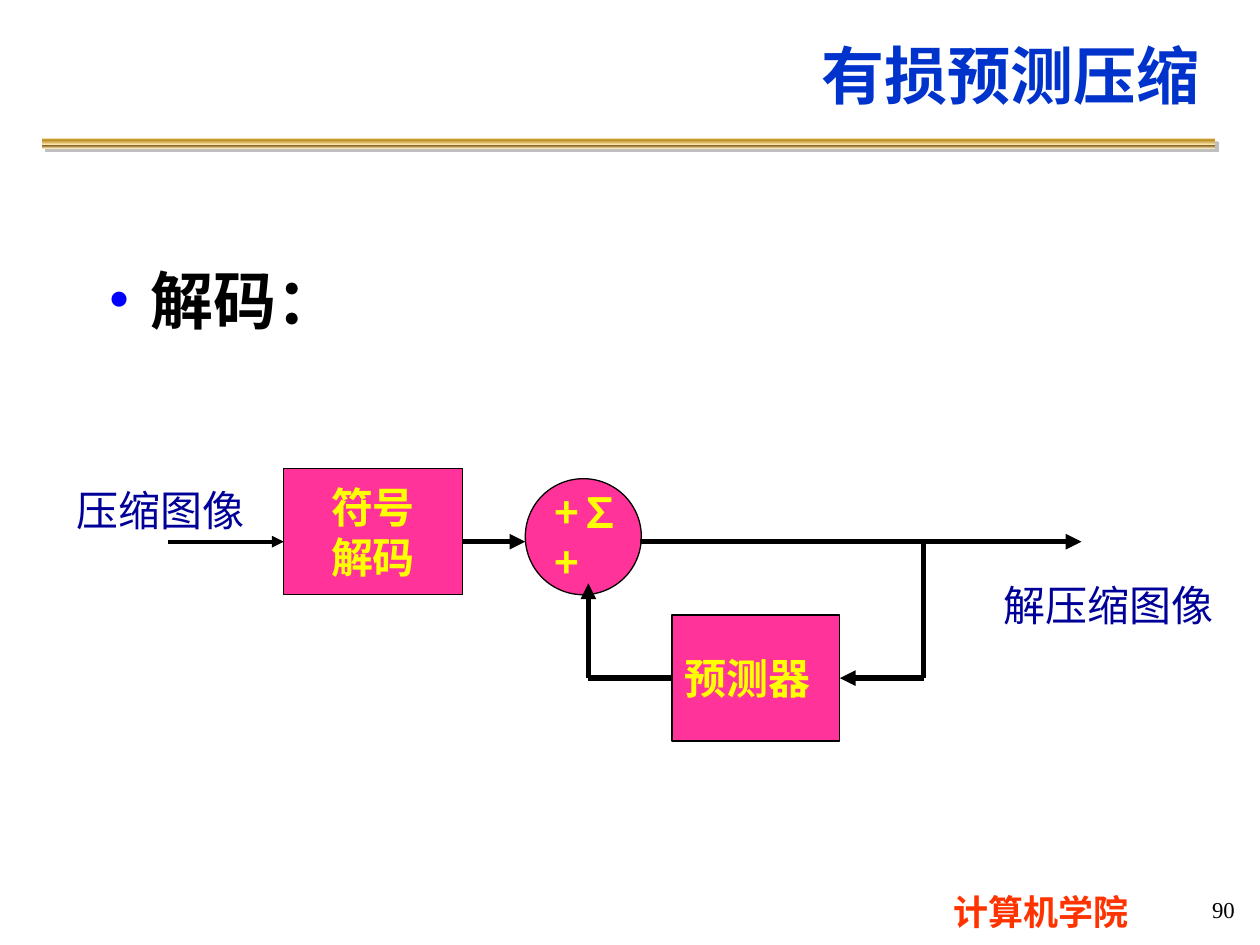
from lxml.etree import SubElement
from pptx import Presentation
from pptx.dml.color import RGBColor
from pptx.enum.shapes import MSO_CONNECTOR, MSO_SHAPE
from pptx.enum.text import MSO_ANCHOR, PP_ALIGN
from pptx.oxml import parse_xml
from pptx.oxml.ns import nsdecls, qn
from pptx.util import Cm, Pt

BLACK = RGBColor(0x00, 0x00, 0x00)
BLUE = RGBColor(0x00, 0x33, 0xCC)
NAVY = RGBColor(0x00, 0x00, 0x99)
PINK = RGBColor(0xFF, 0x33, 0x99)
YELLOW = RGBColor(0xFF, 0xFF, 0x00)
RED = RGBColor(0xFF, 0x33, 0x00)
CJK = "Noto Sans CJK SC"
LEFT, CENTER, RIGHT = PP_ALIGN.LEFT, PP_ALIGN.CENTER, PP_ALIGN.RIGHT


def write(sp, text, size, color, bold=False, align=LEFT, font=CJK,
          anchor=MSO_ANCHOR.MIDDLE, wrap=False):
    tf = sp.text_frame
    tf.text = text
    tf.word_wrap = wrap
    tf.vertical_anchor = anchor
    for p in tf.paragraphs:
        p.alignment = align
        for r in p.runs:
            r.font.name = font
            r.font.size = Pt(size)
            r.font.bold = bold
            r.font.color.rgb = color
            SubElement(r.font._element, qn("a:ea"), typeface=font)


prs = Presentation()
prs.slide_width, prs.slide_height = Cm(25.4), Cm(19.05)
s = prs.slides.add_slide(prs.slide_layouts[5])

# Gold rule under the title
rule = s.shapes.add_shape(MSO_SHAPE.RECTANGLE, Cm(0.84), Cm(2.79), Cm(23.65), Cm(0.2))
rule.line.fill.background()
spPr = rule._element.spPr
stops = [(0, "FBE4AE"), (13, "BD922A"), (21, "BD922A"), (63, "FBE4AE"),
         (67, "BD922A"), (69, "835E17"), (82, "A28949"), (100, "FAE3B7")]
gs = "".join(f'<a:gs pos="{pos * 1000}"><a:srgbClr val="{c}"/></a:gs>' for pos, c in stops)
spPr.insert(2, parse_xml(
    f'<a:gradFill {nsdecls("a")}><a:gsLst>{gs}</a:gsLst>'
    '<a:lin ang="5400000" scaled="0"/></a:gradFill>'))
spPr.append(parse_xml(
    f'<a:effectLst {nsdecls("a")}><a:outerShdw dist="35560" dir="2700000">'
    '<a:srgbClr val="808080"><a:alpha val="50000"/></a:srgbClr>'
    '</a:outerShdw></a:effectLst>'))

title = s.shapes.title
title.left, title.top, title.width, title.height = Cm(2.69), Cm(0.3), Cm(21.74), Cm(2.41)
write(title, "有损预测压缩", 36, BLUE, True, RIGHT, wrap=True)

# Bulleted heading
body = s.shapes.add_textbox(Cm(1.93), Cm(4.39), Cm(20.32), Cm(2.54))
write(body, "解码：", 36, BLACK, True, anchor=MSO_ANCHOR.TOP, wrap=True)
p = body.text_frame.paragraphs[0]
p.line_spacing = 1.5
pPr = p._p.get_or_add_pPr()
pPr.set("marL", str(Cm(0.86)))
pPr.set("indent", str(Cm(-0.86)))
SubElement(SubElement(pPr, qn("a:buClr")), qn("a:srgbClr"), val="0000FF")
SubElement(pPr, qn("a:buFont"), typeface="Times New Roman")
SubElement(pPr, qn("a:buChar"), char="•")

# Decoder blocks
blocks = [
    (MSO_SHAPE.OVAL, 10.59, 9.65, 2.34, 2.34, "+∑\n+", LEFT, False),
    (MSO_SHAPE.RECTANGLE, 5.72, 9.45, 3.6, 2.54, "符号\n解码", CENTER, True),
    (MSO_SHAPE.RECTANGLE, 13.55, 12.4, 3.38, 2.54, "预测器", LEFT, True),
]
for kind, x, y, w, h, text, align, wrap in blocks:
    sp = s.shapes.add_shape(kind, Cm(x), Cm(y), Cm(w), Cm(h))
    sp.shadow.inherit = False
    sp.fill.solid()
    sp.fill.fore_color.rgb = PINK
    sp.line.color.rgb = BLACK
    sp.line.width = Pt(0.75)
    write(sp, text, 24, YELLOW, True, align, wrap=wrap)

# Signal path, then the feedback loop through the predictor
main_y, loop_y, sum_x, tap_x = 10.92, 13.67, 11.86, 18.62
links = [
    (3.38, main_y, 5.72, main_y, 2.25, True),
    (9.32, main_y, 10.59, main_y, 3, True),
    (12.9, main_y, 21.8, main_y, 3, True),
    (tap_x, main_y, tap_x, loop_y, 3, False),
    (tap_x, loop_y, 16.93, loop_y, 3, True),
    (sum_x, loop_y, 13.55, loop_y, 3, False),
    (sum_x, loop_y, sum_x, 11.76, 3, True),
]
for x1, y1, x2, y2, width, arrow in links:
    cxn = s.shapes.add_connector(MSO_CONNECTOR.STRAIGHT, Cm(x1), Cm(y1), Cm(x2), Cm(y2))
    cxn.line.color.rgb = BLACK
    cxn.line.width = Pt(width)
    if arrow:
        SubElement(cxn.line._get_or_add_ln(), qn("a:tailEnd"), type="triangle")
    SubElement(cxn._element.spPr, qn("a:effectLst"))

# Signal labels, department and page number
labels = [
    (1.3, 9.65, 3.89, 1.27, "压缩图像", 24, NAVY, False, LEFT, CJK),
    (19.99, 11.56, 4.75, 1.27, "解压缩图像", 24, NAVY, False, LEFT, CJK),
    (17.5, 17.83, 6.99, 1.09, "计算机学院", 20, RED, True, CENTER, CJK),
    (20.29, 17.86, 4.85, 0.94, "90", 13, BLACK, False, RIGHT, "Times New Roman"),
]
for x, y, w, h, text, size, color, bold, align, font in labels:
    sp = s.shapes.add_textbox(Cm(x), Cm(y), Cm(w), Cm(h))
    write(sp, text, size, color, bold, align, font, wrap=align != LEFT)

prs.save("out.pptx")
